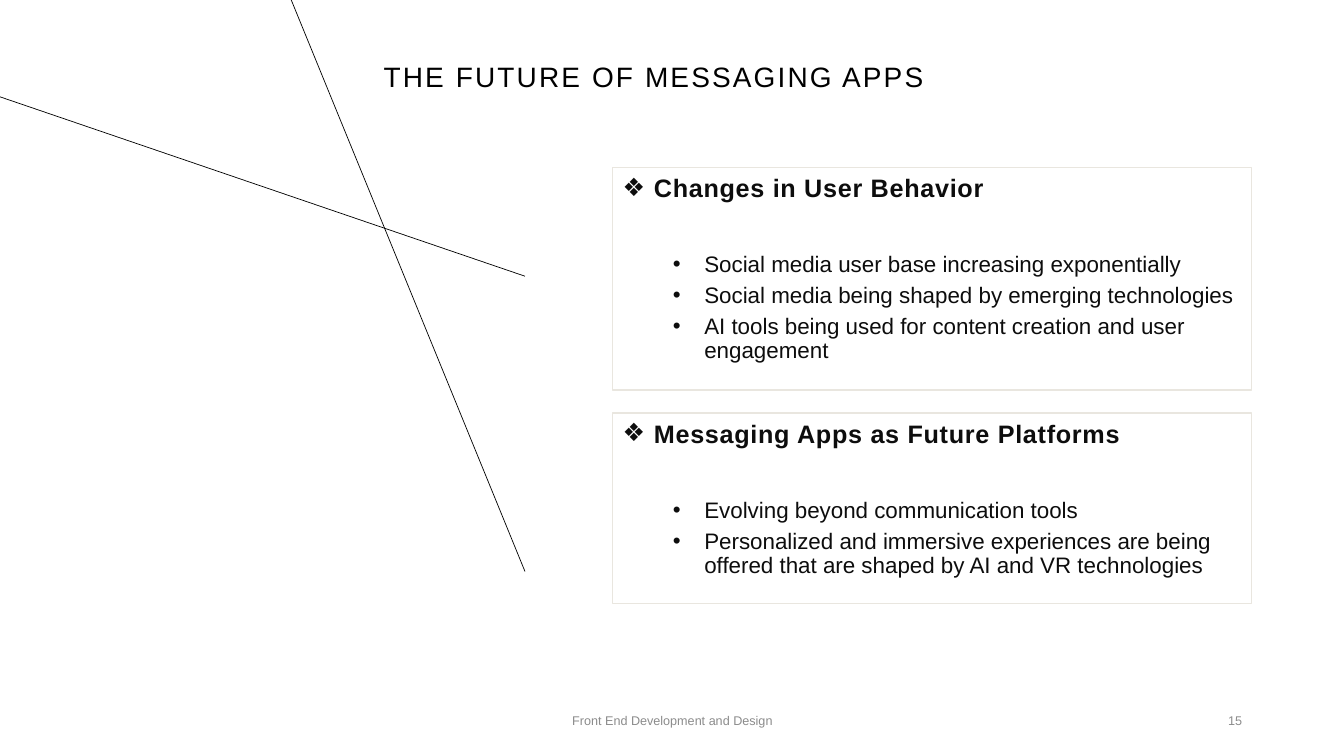
from dataclasses import dataclass

from lxml.etree import SubElement
from pptx import Presentation
from pptx.dml.color import RGBColor
from pptx.enum.shapes import MSO_CONNECTOR, MSO_SHAPE
from pptx.enum.text import MSO_ANCHOR, PP_ALIGN
from pptx.oxml.ns import qn
from pptx.util import Cm, Pt


@dataclass(frozen=True)
class Theme:
    font: str = "Arial"
    black: str = "000000"
    white: str = "FFFFFF"
    body: str = "0D0D0D"
    muted: str = "8C8C8C"
    border: str = "E9E6DF"
    title_size: int = 20
    heading_size: int = 18
    bullet_size: int = 16
    footer_size: int = 9


THEME = Theme()

PANELS = [
    (4.22, 5.61, "Changes in User Behavior", [
        "Social media user base increasing exponentially",
        "Social media being shaped by emerging technologies",
        "AI tools being used for content creation and user engagement",
    ]),
    (10.41, 4.8, "Messaging Apps as Future Platforms", [
        "Evolving beyond communication tools",
        "Personalized and immersive experiences are being offered "
        "that are shaped by AI and VR technologies",
    ]),
]


def add_bullet(paragraph, symbol, margin):
    properties = paragraph._p.get_or_add_pPr()
    properties.set("marL", str(Cm(margin)))
    properties.set("indent", str(-Cm(0.79)))
    SubElement(properties, qn("a:buFont")).set("typeface", THEME.font)
    SubElement(properties, qn("a:buChar")).set("char", symbol)


def write(paragraph, text, size, color, bold=False, tracking=0, align=PP_ALIGN.LEFT,
          line_spacing=1.0, space_before=0, bullet=None, margin=0):
    if bullet:
        add_bullet(paragraph, bullet, margin)
    paragraph.alignment = align
    paragraph.line_spacing = line_spacing
    paragraph.space_before = Pt(space_before)
    run = paragraph.add_run()
    run.text = text
    run.font.name = THEME.font
    run.font.size = Pt(size)
    run.font.bold = bold
    run.font.color.rgb = RGBColor.from_string(color)
    if tracking:
        run._r.get_or_add_rPr().set("spc", str(int(tracking * 100)))


def add_label(slide, left, top, width, height, text, anchor=MSO_ANCHOR.MIDDLE, **text_format):
    box = slide.shapes.add_textbox(Cm(left), Cm(top), Cm(width), Cm(height))
    frame = box.text_frame
    frame.word_wrap = True
    frame.vertical_anchor = anchor
    write(frame.paragraphs[0], text, **text_format)


def add_line(slide, start, end):
    connector = slide.shapes.add_connector(
        MSO_CONNECTOR.STRAIGHT, *map(Cm, start), *map(Cm, end))
    connector.line.color.rgb = RGBColor.from_string(THEME.black)
    connector.line.width = Pt(0.5)
    SubElement(connector._element.spPr, qn("a:effectLst"))


def add_panel(slide, top, height, heading, bullets):
    shape = slide.shapes.add_shape(
        MSO_SHAPE.RECTANGLE, Cm(15.44), Cm(top), Cm(16.1), Cm(height))
    shape.shadow.inherit = False
    shape.fill.solid()
    shape.fill.fore_color.rgb = RGBColor.from_string(THEME.white)
    shape.line.color.rgb = RGBColor.from_string(THEME.border)
    shape.line.width = Pt(1)
    frame = shape.text_frame
    frame.word_wrap = True
    frame.vertical_anchor = MSO_ANCHOR.TOP
    write(frame.paragraphs[0], heading, size=THEME.heading_size, color=THEME.body,
          bold=True, tracking=0.5, bullet="❖", margin=0.79)
    for index, text in enumerate(bullets):
        paragraph = frame.add_paragraph()
        paragraph.level = 1
        write(paragraph, text, size=THEME.bullet_size, color=THEME.body,
              line_spacing=0.9, space_before=5 if index else 36, bullet="•", margin=2.06)


def main():
    presentation = Presentation()
    presentation.slide_width = Cm(33.87)
    presentation.slide_height = Cm(19.05)
    slide = presentation.slides.add_slide(presentation.slide_layouts[6])

    add_line(slide, (13.23, 6.96), (0, 2.44))
    add_line(slide, (13.23, 14.4), (7.34, 0))
    add_label(slide, 9.42, 0, 15.04, 2.49, "THE FUTURE OF MESSAGING APPS",
              anchor=MSO_ANCHOR.BOTTOM, size=THEME.title_size, color=THEME.black,
              tracking=1.5, line_spacing=0.9)
    for panel in PANELS:
        add_panel(slide, *panel)
    add_label(slide, 11.23, 17.65, 11.43, 1.02, "Front End Development and Design",
              size=THEME.footer_size, color=THEME.muted, align=PP_ALIGN.CENTER)
    add_label(slide, 23.93, 17.65, 7.62, 1.02, "15",
              size=THEME.footer_size, color=THEME.muted, align=PP_ALIGN.RIGHT)

    presentation.save("out.pptx")


if __name__ == "__main__":
    main()
